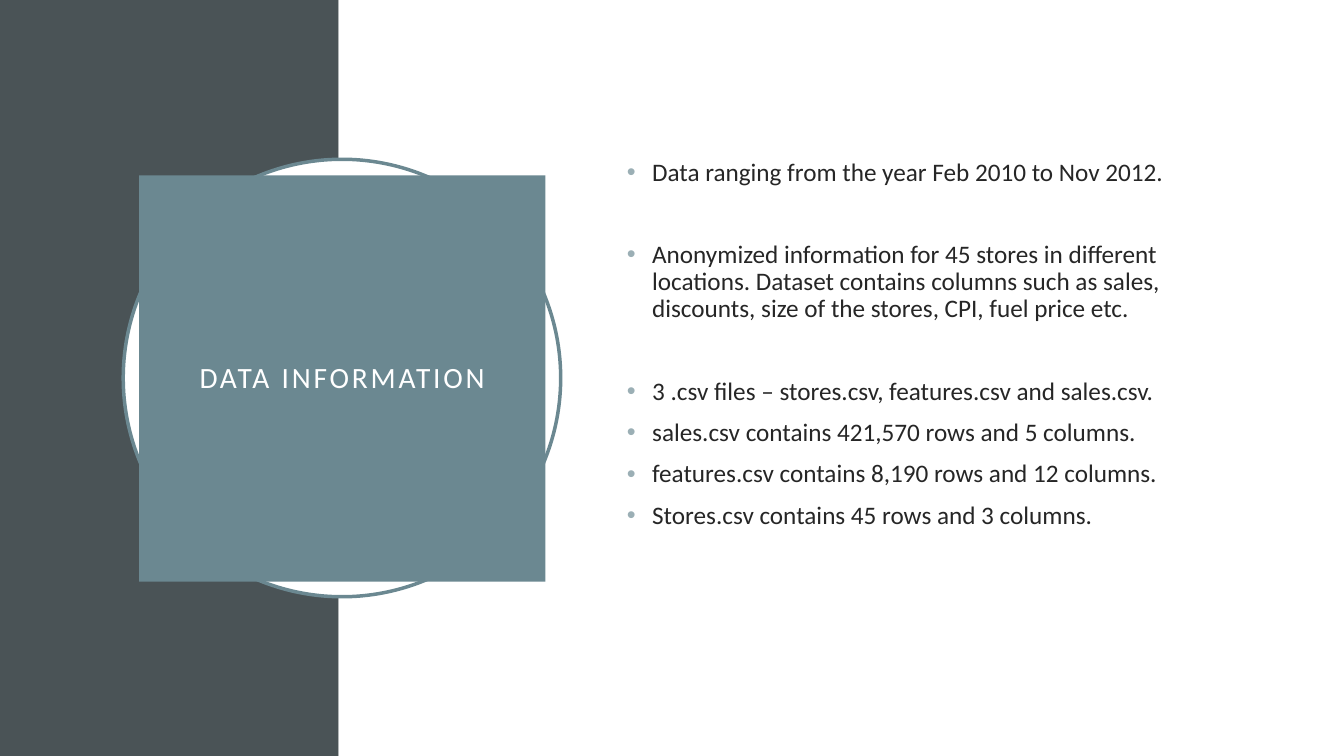
"""Build the data information slide."""
from dataclasses import dataclass

from lxml import etree
from pptx import Presentation
from pptx import util as u
from pptx.dml.color import RGBColor
from pptx.enum import shapes, text
from pptx.oxml.ns import qn

WIDTH, HEIGHT = u.Inches(13.333), u.Inches(7.5)
FONT = "Calibri"
COLORS = {
    "slate": "4A5356",
    "teal": "6B8891",
    "bullet": "9BAFB5",
    "ink": "262626",
    "white": "FFFFFF",
}


@dataclass(frozen=True)
class Box:
    """Left, top, width and height as percentages of the slide."""
    x: float
    y: float
    w: float
    h: float

    def place(self) -> tuple[int, int, int, int]:
        return (int(WIDTH * self.x / 100), int(HEIGHT * self.y / 100),
                int(WIDTH * self.w / 100), int(HEIGHT * self.h / 100))


@dataclass(frozen=True)
class Panel:
    kind: shapes.MSO_SHAPE
    box: Box
    fill: str
    line: str | None = None


@dataclass(frozen=True)
class Bullet:
    words: str
    before: float = 10


LINE_GAP = 39.5
PANELS = [
    Panel(shapes.MSO_SHAPE.RECTANGLE, Box(0, 0, 25.2, 100), "slate"),
    Panel(shapes.MSO_SHAPE.RECTANGLE, Box(25.2, 0, 74.8, 100), "white"),
    Panel(shapes.MSO_SHAPE.OVAL, Box(9.17, 21.07, 32.55, 57.87), "white", "teal"),
]
TITLE_BOX = Box(10.36, 23.2, 30.22, 53.73)
BODY_BOX = Box(45.9, 20.4, 43.65, 59.07)
BULLETS = [
    Bullet("Data ranging from the year Feb 2010 to Nov 2012.", 0),
    Bullet("Anonymized information for 45 stores in different locations. "
           "Dataset contains columns such as sales, discounts, size of the "
           "stores, CPI, fuel price etc.", LINE_GAP),
    Bullet("3 .csv files – stores.csv, features.csv and sales.csv.", LINE_GAP),
    Bullet("sales.csv contains 421,570 rows and 5 columns."),
    Bullet("features.csv contains 8,190 rows and 12 columns."),
    Bullet("Stores.csv contains 45 rows and 3 columns."),
]


def rgb(name: str) -> RGBColor:
    return RGBColor.from_string(COLORS[name])


def add_panel(s, panel: Panel) -> None:
    sp = s.shapes.add_shape(panel.kind, *panel.box.place())
    sp.shadow.inherit = False
    sp.fill.solid()
    sp.fill.fore_color.rgb = rgb(panel.fill)
    if panel.line:
        sp.line.color.rgb = rgb(panel.line)
        sp.line.width = u.Pt(2.5)
    else:
        sp.line.fill.background()


def setup_frame(sp, box: Box, anchor: text.MSO_ANCHOR):
    sp.left, sp.top, sp.width, sp.height = box.place()
    sp._element.getparent().append(sp._element)
    tf = sp.text_frame
    tf.word_wrap = True
    tf.auto_size = text.MSO_AUTO_SIZE.NONE
    tf.vertical_anchor = anchor
    return tf


def add_run(p, words: str, size: float, color: str):
    p.line_spacing = 0.9
    r = p.add_run()
    r.text = words
    r.font.name = FONT
    r.font.size = u.Pt(size)
    r.font.color.rgb = rgb(color)
    return r


def add_bullet_mark(p) -> None:
    pPr = p._p.get_or_add_pPr()
    pPr.set("marL", str(u.Inches(0.25)))
    pPr.set("indent", str(-u.Inches(0.25)))
    color = etree.SubElement(pPr, qn("a:buClr"))
    etree.SubElement(color, qn("a:srgbClr"), val=COLORS["bullet"])
    etree.SubElement(pPr, qn("a:buFont"), typeface="Arial")
    etree.SubElement(pPr, qn("a:buChar"), char="•")


def fill_title(sp) -> None:
    tf = setup_frame(sp, TITLE_BOX, text.MSO_ANCHOR.MIDDLE)
    sp.fill.solid()
    sp.fill.fore_color.rgb = rgb("teal")
    tf.margin_left = tf.margin_right = u.Inches(0.2)
    tf.margin_top = tf.margin_bottom = u.Inches(0.2)
    p = tf.paragraphs[0]
    p.alignment = text.PP_ALIGN.CENTER
    r = add_run(p, "DATA INFORMATION", 21, "white")
    r.font._element.set("spc", "200")


def fill_body(sp) -> None:
    tf = setup_frame(sp, BODY_BOX, text.MSO_ANCHOR.TOP)
    for i, bullet in enumerate(BULLETS):
        p = tf.add_paragraph() if i else tf.paragraphs[0]
        add_run(p, bullet.words, 18, "ink")
        p.space_before = u.Pt(bullet.before)
        add_bullet_mark(p)


def main() -> None:
    prs = Presentation()
    prs.slide_width, prs.slide_height = WIDTH, HEIGHT
    s = prs.slides.add_slide(prs.slide_layouts[1])
    for panel in PANELS:
        add_panel(s, panel)
    fill_title(s.shapes.title)
    fill_body(s.placeholders[1])
    prs.save("out.pptx")


if __name__ == "__main__":
    main()
